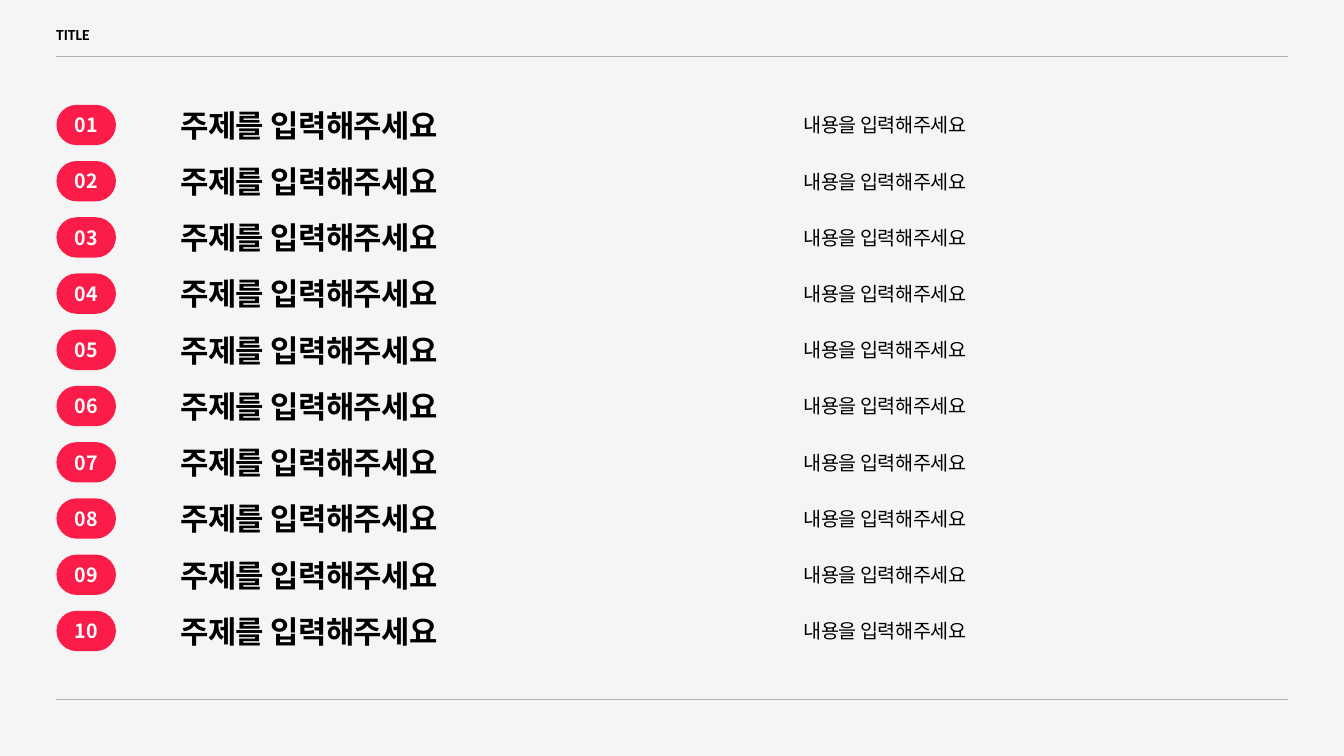
from dataclasses import dataclass

from lxml.etree import SubElement
from pptx import Presentation
from pptx.dml.color import RGBColor
from pptx.enum.shapes import MSO_CONNECTOR, MSO_SHAPE
from pptx.enum.text import MSO_ANCHOR, PP_ALIGN
from pptx.oxml.ns import qn
from pptx.util import Inches, Pt


@dataclass(frozen=True)
class Theme:
    background: RGBColor = RGBColor(0xF5, 0xF5, 0xF5)
    rule: RGBColor = RGBColor(0xB3, 0xB3, 0xB3)
    accent: RGBColor = RGBColor(0xFC, 0x1C, 0x49)
    ink: RGBColor = RGBColor(0x00, 0x00, 0x00)
    number: RGBColor = RGBColor(0xFF, 0xFF, 0xFF)
    title_font: str = "Calibri"
    body_font: str = "Noto Sans CJK KR"
    title_size: Pt = Pt(11)
    subject_size: Pt = Pt(22)
    detail_size: Pt = Pt(14)
    number_size: Pt = Pt(14)


theme = Theme()


def write(box, text, face, size, color, bold=False, tracking=0):
    box.text_frame.word_wrap = True
    para = box.text_frame.paragraphs[0]
    para.alignment = PP_ALIGN.LEFT
    para.space_before = Pt(10)
    span = para.add_run()
    span.text = text
    font = para.font
    font.name = face
    font.size = size
    font.bold = bold
    font.color.rgb = color
    properties = para._p.pPr.find(qn("a:defRPr"))
    SubElement(properties, qn("a:ea")).set("typeface", face)
    if tracking:
        properties.set("spc", str(tracking))
    return para


deck = Presentation()
deck.slide_width = Inches(13.33)
deck.slide_height = Inches(7.5)
page = deck.slides.add_slide(deck.slide_layouts[6])
page.background.fill.solid()
page.background.fill.fore_color.rgb = theme.background

left, right = 0.56, 12.77
for rule_top in (0.56, 6.94):
    rule = page.shapes.add_connector(
        MSO_CONNECTOR.STRAIGHT, Inches(left), Inches(rule_top), Inches(right), Inches(rule_top)
    )
    rule.line.color.rgb = theme.rule
    rule.line.width = Pt(0.5)
    SubElement(rule._element.spPr, qn("a:effectLst"))

title = page.shapes.add_textbox(Inches(0.46), Inches(0.2), Inches(5.84), Inches(0.29))
write(title, "TITLE", theme.title_font, theme.title_size, theme.ink, bold=True)

row_count = 10
first_top, last_top = 1.04, 6.06
row_height = 0.4
row_pitch = (last_top - first_top) / (row_count - 1)
columns = (
    (1.69, 5.87, "주제를 입력해주세요", theme.subject_size, True),
    (7.87, 4.9, "내용을 입력해주세요", theme.detail_size, False),
)

for row in range(row_count):
    top = Inches(first_top + row * row_pitch)

    badge = page.shapes.add_shape(
        MSO_SHAPE.ROUNDED_RECTANGLE, Inches(left), top, Inches(0.59), Inches(row_height)
    )
    badge.adjustments[0] = 0.5
    badge.shadow.inherit = False
    badge.fill.solid()
    badge.fill.fore_color.rgb = theme.accent
    badge.line.fill.background()
    badge.text_frame.vertical_anchor = MSO_ANCHOR.MIDDLE
    number = write(badge, f"{row + 1:02}", theme.body_font, theme.number_size, theme.number, bold=True)
    number.alignment = PP_ALIGN.CENTER

    for column_left, width, text, size, bold in columns:
        box = page.shapes.add_textbox(Inches(column_left), top, Inches(width), Inches(row_height))
        box.text_frame.vertical_anchor = MSO_ANCHOR.MIDDLE
        write(box, text, theme.body_font, size, theme.ink, bold=bold, tracking=-30)

deck.save("out.pptx")
